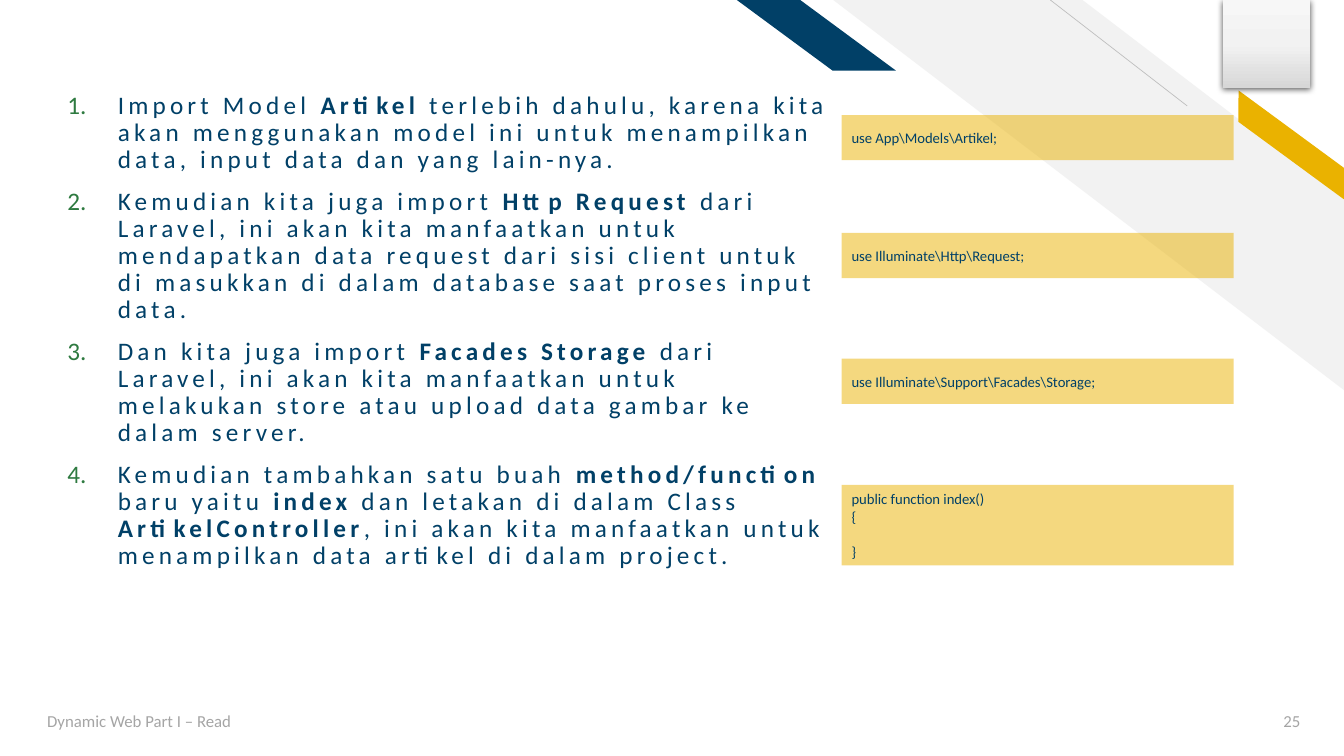
from pptx import Presentation
from pptx.dml.color import RGBColor
from pptx.enum.shapes import MSO_CONNECTOR, MSO_SHAPE
from pptx.enum.text import MSO_ANCHOR, PP_ALIGN
from pptx.oxml import parse_xml
from pptx.oxml.ns import nsdecls, qn
from pptx.util import Cm, Pt
from lxml.etree import SubElement

HUES = {"navy": "014067", "gold": "EAB200", "pale": "F2F2F2", "rule": "BFBFBF",
        "gray": "A5A5A5", "green": "2E7A40", "black": "000000"}
SHADES = [(0, "F7F7F7"), (50, "F2F2F2"), (100, "D7D7D7")]

STEPS = [
    "Import Model *Artikel* terlebih dahulu, karena kita akan menggunakan model ini "
    "untuk menampilkan data, input data dan yang lain-nya.",
    "Kemudian kita juga import *Http Request* dari Laravel, ini akan kita manfaatkan "
    "untuk mendapatkan data request dari sisi client untuk di masukkan di dalam "
    "database saat proses input data.",
    "Dan kita juga import *Facades Storage *dari Laravel, ini akan kita manfaatkan "
    "untuk melakukan store atau upload data gambar ke dalam server.",
    "Kemudian tambahkan satu buah *method/function *baru yaitu *index *dan letakan di "
    "dalam Class *ArtikelController*, ini akan kita manfaatkan untuk menampilkan data "
    "artikel di dalam project.",
]
CODES = [
    (2.9, 1.14, ["use App\\Models\\Artikel;"]),
    (5.87, 1.14, ["use Illuminate\\Http\\Request;"]),
    (9.04, 1.14, ["use Illuminate\\Support\\Facades\\Storage;"]),
    (12.22, 2.03, ["public function index()", "{", "", "}"]),
]


def color(name):
    """Return the named colour."""
    return RGBColor.from_string(HUES[name])


def number(para):
    """Give a paragraph a green number and a hanging indent."""
    props = para._p.get_or_add_pPr()
    props.set("marL", str(Cm(1.27)))
    props.set("indent", str(-Cm(1.27)))
    tint = SubElement(props, qn("a:buClr"))
    SubElement(tint, qn("a:srgbClr")).set("val", HUES["green"])
    SubElement(props, qn("a:buAutoNum")).set("type", "arabicPeriod")


def write(shape, lines, size=12, hue="navy", align=PP_ALIGN.LEFT,
          anchor=MSO_ANCHOR.MIDDLE, gap=0, lead=None, track=0, count=False):
    """Fill a shape with paragraphs, in which asterisks switch bold on and off."""
    frame = shape.text_frame
    frame.word_wrap = True
    frame.vertical_anchor = anchor
    for i, line in enumerate(lines):
        para = frame.add_paragraph() if i else frame.paragraphs[0]
        if count:
            number(para)
        para.alignment = align
        para.line_spacing = lead
        para.space_before = Pt(gap if i else 0)
        para.font.size = Pt(size)
        for j, part in enumerate(line.split("*")):
            if not part:
                continue
            run = para.add_run()
            run.text = part
            run.font.name = "Calibri"
            run.font.size = Pt(size)
            run.font.bold = j % 2 == 1
            run.font.color.rgb = color(hue)
            if track:
                run._r.get_or_add_rPr().set("spc", str(track * 100))


def label(slide, box, lines, **style):
    """Add a text box."""
    write(slide.shapes.add_textbox(*map(Cm, box)), lines, **style)


def block(slide, kind, box, hue, adj=None, flip=False, turn=0, alpha=None):
    """Add a plain filled shape without outline."""
    shape = slide.shapes.add_shape(kind, *map(Cm, box))
    shape.shadow.inherit = False
    shape.fill.solid()
    shape.fill.fore_color.rgb = color(hue)
    shape.line.fill.background()
    shape.rotation = turn
    if adj:
        shape.adjustments[0] = adj
    if flip:
        shape._element.spPr.find(qn("a:xfrm")).set("flipH", "1")
    if alpha:
        tint = shape._element.spPr.find(qn("a:solidFill"))[0]
        SubElement(tint, qn("a:alpha")).set("val", str(alpha * 1000))
    return shape


def rule(slide, start, end):
    """Add a thin line."""
    line = slide.shapes.add_connector(MSO_CONNECTOR.STRAIGHT, *map(Cm, start + end))
    line.line.color.rgb = color("rule")
    line.line.width = Pt(0.5)
    SubElement(line._element.spPr, qn("a:effectLst"))


def badge(slide, box):
    """Add the shaded square with its drop shadow."""
    props = block(slide, MSO_SHAPE.RECTANGLE, box, "pale")._element.spPr
    stops = "".join(f'<a:gs pos="{pos * 1000}"><a:srgbClr val="{hue}"/></a:gs>'
                    for pos, hue in SHADES)
    props.replace(props.find(qn("a:solidFill")), parse_xml(
        f'<a:gradFill {nsdecls("a")}><a:gsLst>{stops}</a:gsLst>'
        '<a:lin ang="5400000" scaled="0"/></a:gradFill>'))
    props.find(qn("a:effectLst")).append(parse_xml(
        f'<a:outerShdw {nsdecls("a")} blurRad="{Pt(4.5)}" dist="{Pt(1.5)}" '
        f'dir="5400000" rotWithShape="0"><a:srgbClr val="{HUES["black"]}">'
        '<a:alpha val="63000"/></a:srgbClr></a:outerShdw>'))


def main():
    """Build the slide and save it."""
    deck = Presentation()
    deck.slide_width, deck.slide_height = Cm(33.87), Cm(19.05)
    slide = deck.slides.add_slide(deck.slide_layouts[6])

    block(slide, MSO_SHAPE.DIAGONAL_STRIPE, (21, 0, 12.87, 9.83), "pale", 0.512, True)
    rule(slide, (29.92, 2.67), (26.47, 0))
    block(slide, MSO_SHAPE.PARALLELOGRAM, (30.66, 3.33, 3.76, 0.64), "gold",
          0.72, True, 36.3)
    block(slide, MSO_SHAPE.PARALLELOGRAM, (18.57, 0, 4.01, 1.78), "navy", 1.356, True)
    badge(slide, (30.81, 0, 2.21, 2.21))

    label(slide, (0.94, 17.65, 11.43, 1.02), ["Dynamic Web Part I – Read"], hue="gray")
    label(slide, (30.96, 17.65, 2.06, 1.02), ["25"], hue="gray", align=PP_ALIGN.RIGHT)
    label(slide, (1.45, 2.21, 19.79, 16.08), STEPS, size=18, anchor=MSO_ANCHOR.TOP,
          gap=10, lead=0.9, track=3, count=True)
    for top, high, lines in CODES:
        panel = block(slide, MSO_SHAPE.RECTANGLE, (21.21, top, 9.88, high), "gold",
                      alpha=50)
        write(panel, lines, size=10.5)

    deck.save("out.pptx")


if __name__ == "__main__":
    main()
